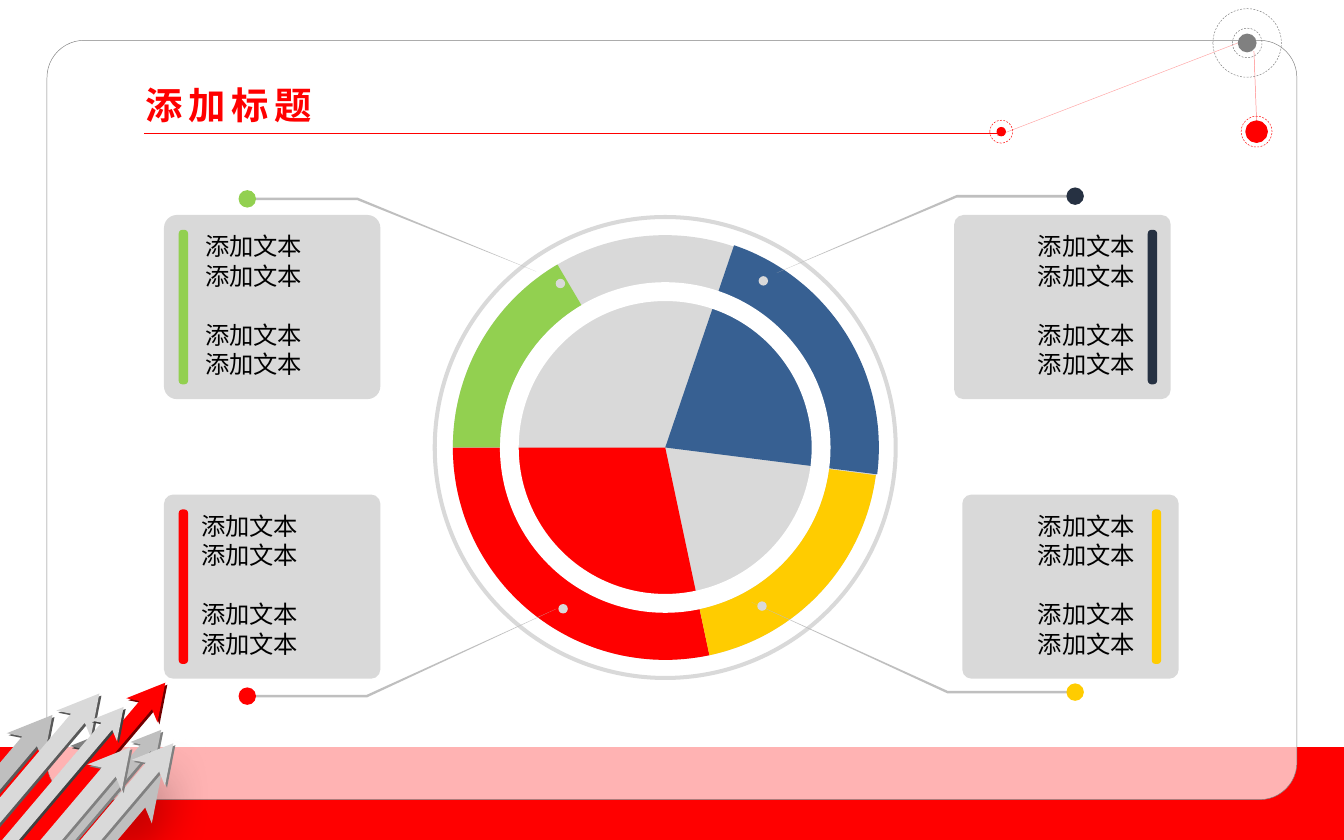
import math

import lxml.etree
import pptx
import pptx.dml.color
import pptx.enum.dml
import pptx.enum.shapes
import pptx.enum.text
import pptx.oxml.ns
import pptx.shapes.connector
import pptx.util

Inches, Pt = pptx.util.Inches, pptx.util.Pt
qn = pptx.oxml.ns.qn
SHAPE = pptx.enum.shapes.MSO_SHAPE
ALIGN = pptx.enum.text.PP_ALIGN
FONT = "Noto Sans CJK SC"
RED, BLUE, NAVY, GREEN, YELLOW = "FF0000", "376092", "263142", "92D050", "FFCC00"
PALE, SILVER, GREY, DARK, BLACK = "D9D9D9", "BFBFBF", "808080", "404040", "000000"
SLATE, MAROON, WHITE = "595959", "700000", "FFFFFF"

prs = pptx.Presentation()
prs.slide_width, prs.slide_height = Inches(10), Inches(6.25)
slide = prs.slides.add_slide(prs.slide_layouts[5])
shapes = slide.shapes


def paint(target, fill=None, line=None, width=0.25, dashed=False, opacity=100):
    """Colour a shape, connector or run; opacity applies to its first colour."""
    color = pptx.dml.color.RGBColor.from_string
    if hasattr(target, "font"):
        target.font.color.rgb = color(fill)
        return
    if not isinstance(target, pptx.shapes.connector.Connector):
        if fill:
            target.fill.solid()
            target.fill.fore_color.rgb = color(fill)
        else:
            target.fill.background()
    if line:
        target.line.color.rgb = color(line)
        target.line.width = Pt(width)
        if dashed:
            target.line.dash_style = pptx.enum.dml.MSO_LINE.DASH
    else:
        target.line.fill.background()
    properties = target._element.spPr
    if opacity < 100:
        first = properties.find(".//" + qn("a:srgbClr"))
        lxml.etree.SubElement(first, qn("a:alpha"), val=str(opacity * 1000))
    lxml.etree.SubElement(properties, qn("a:effectLst"))


def polygon(points, fill):
    corners = [(Inches(x), Inches(y)) for x, y in points]
    builder = shapes.build_freeform(*corners[0], scale=1.0)
    builder.add_line_segments(corners[1:], close=True)
    outline = builder.convert_to_shape()
    paint(outline, fill)
    return outline


# Red floor and translucent panel
floor = shapes.add_shape(SHAPE.RECTANGLE, 0, Inches(5.56), Inches(10), Inches(0.69))
paint(floor, RED)
panel = shapes.add_shape(SHAPE.ROUNDED_RECTANGLE, Inches(0.35), Inches(0.3), Inches(9.3), Inches(5.65))
panel.adjustments[0] = 0.049
paint(panel, WHITE, GREY, opacity=70)

# Rising arrows, back to front: colour, edge colour, tip, head size
HEAD = [(-0.66, 0.47), (-1, 0.4), (0, 0), (-0.2, 1.02), (-0.34, 0.68)]
SLOPE, EDGE = 1.18, 0.015
for color, edge_color, tip_x, tip_y, size in [
    (SILVER, SLATE, 0.39, 5.32, 0.34),
    (GREY, DARK, 0.75, 5.46, 0.23),
    (SILVER, None, 1.2, 5.77, 0.35),
    (PALE, SLATE, 0.74, 5.16, 0.32),
    (SILVER, GREY, 1.2, 5.43, 0.23),
    (RED, MAROON, 1.23, 5.08, 0.29),
    (PALE, GREY, 1.29, 5.53, 0.31),
    (PALE, GREY, 0.97, 5.56, 0.32),
    (PALE, DARK, 0.92, 5.26, 0.25),
]:
    for layer, shift in [(edge_color, EDGE), (color, 0)]:
        if layer is None:
            continue
        head = [(tip_x + shift + size * x, tip_y + shift + size * y) for x, y in HEAD]
        feet = []
        for x, y in (head[-1], head[0]):
            run_out = min(x, (6.25 - y) / SLOPE)
            feet.append((x - run_out, y + SLOPE * run_out))
        corner = (feet[1][0], feet[0][1])
        arrow = polygon(head + [feet[0], corner, feet[1]], layer)
    if edge_color is None:
        effects = arrow._element.spPr.find(qn("a:effectLst"))
        shade = lxml.etree.SubElement(effects, qn("a:outerShdw"), blurRad=str(Pt(30)), dist=str(Pt(3)), dir="5400000")
        tint = lxml.etree.SubElement(shade, qn("a:srgbClr"), val=BLACK)
        lxml.etree.SubElement(tint, qn("a:alpha"), val="66000")

# Title rule and constellation links: start, end, opacity
for x1, y1, x2, y2, opacity in [
    (1.07, 0.99, 7.46, 0.99, 100),
    (9.35, 0.91, 9.33, 0.38, 50),
    (7.42, 1.01, 9.21, 0.32, 35),
]:
    link = shapes.add_connector(
        pptx.enum.shapes.MSO_CONNECTOR.STRAIGHT, Inches(x1), Inches(y1), Inches(x2), Inches(y2))
    paint(link, line=RED, opacity=opacity)

# Constellation nodes: centre, colour, core diameter, core line, dashed orbits
for x, y, color, core, core_line, orbits in [
    (9.35, 0.98, RED, 0.14, 2, [0.23]),
    (9.28, 0.32, GREY, 0.14, 0, [0.22, 0.51]),
    (7.45, 0.98, RED, 0.07, 0, [0.17]),
]:
    for size in [core] + orbits:
        node = shapes.add_shape(
            SHAPE.OVAL, Inches(x - size / 2), Inches(y - size / 2), Inches(size), Inches(size))
        if size == core:
            paint(node, color, color if core_line else None, core_line)
        else:
            paint(node, line=color, dashed=True)

# Title, brought in front of the panel
title = shapes.title
shapes._spTree.append(title._element)
title.left, title.top, title.width, title.height = Inches(0.98), Inches(0.55), Inches(1.66), Inches(0.44)
title.text_frame.vertical_anchor = pptx.enum.text.MSO_ANCHOR.TOP
title.text_frame.auto_size = pptx.enum.text.MSO_AUTO_SIZE.NONE
heading = title.text_frame.paragraphs[0]
heading.alignment, heading.line_spacing = ALIGN.LEFT, Pt(25)
run = heading.add_run()
run.text = "添加标题"
run.font.size, run.font.bold, run.font.name = Pt(20), True, FONT
paint(run, RED)
run.font._element.set("spc", "300")
lxml.etree.SubElement(run.font._element, qn("a:ea"), typeface=FONT)

# Wheel, back to front: colour, radius, thickness or colour, angles, radii
CENTER_X, CENTER_Y = 4.95, 3.33
for color, *size in [
    (PALE, 1.58, 0),
    (BLUE, -71.2, 7.2, 0, 1.59),
    (RED, 78, 180, 0, 1.58),
    (WHITE, 1.23, 0.14),
    (PALE, 1.73, 0.03),
    (GREEN, 180, 239.5, 1.23, 1.58),
    (YELLOW, 7.5, 78, 1.23, 1.58),
]:
    if len(size) == 2:
        radius, thickness = size
        disc = shapes.add_shape(
            SHAPE.DONUT if thickness else SHAPE.OVAL, Inches(CENTER_X - radius),
            Inches(CENTER_Y - radius), Inches(2 * radius), Inches(2 * radius))
        if thickness:
            disc.adjustments[0] = thickness / (2 * radius)
        paint(disc, color)
    else:
        start, end, inner, outer = size
        angles = [math.radians(start + (end - start) * step / 60) for step in range(61)]
        rim = [(outer, a) for a in angles]
        hub = [(inner, a) for a in reversed(angles)] if inner else [(0, 0)]
        polygon([(CENTER_X + r * math.cos(a), CENTER_Y + r * math.sin(a)) for r, a in rim + hub], color)

# Tapered leaders: colour, tip, elbow, end dot centre, wheel dot centre
for color, tip_x, tip_y, elbow, end_x, end_y, wheel_x, wheel_y in [
    (GREEN, 3.99, 2.02, 2.66, 1.84, 1.48, 4.17, 2.11),
    (NAVY, 5.78, 2.03, 7.12, 8, 1.46, 5.68, 2.09),
    (YELLOW, 5.59, 4.48, 7.05, 8, 5.15, 5.67, 4.51),
    (RED, 4.14, 4.53, 2.73, 1.84, 5.18, 4.19, 4.53),
]:
    upper, lower = end_y - 0.01, end_y + 0.01
    polygon([(tip_x, tip_y), (elbow, upper), (end_x, upper), (end_x, lower), (elbow, lower)], SILVER)
    for x, y, size, dot_color in [(end_x, end_y, 0.13, color), (wheel_x, wheel_y, 0.07, PALE)]:
        dot = shapes.add_shape(
            SHAPE.OVAL, Inches(x - size / 2), Inches(y - size / 2), Inches(size), Inches(size))
        paint(dot, dot_color)

# Cards: bar colour, top, card left, corner, bar left, text left, alignment
for color, top, card_left, corner, bar_left, text_left, align in [
    (GREEN, 1.6, 1.22, 0.07, 1.33, 1.43, ALIGN.LEFT),
    (NAVY, 1.6, 7.1, 0.05, 8.54, 7.32, ALIGN.RIGHT),
    (YELLOW, 3.68, 7.16, 0.05, 8.57, 7.32, ALIGN.RIGHT),
    (RED, 3.68, 1.22, 0.05, 1.33, 1.4, ALIGN.LEFT),
]:
    for left, drop, width, height, rounding, fill in [
        (card_left, 0, 1.61, 1.37, corner, PALE),
        (bar_left, 0.11, 0.07, 1.15, 0.4, color),
    ]:
        block = shapes.add_shape(
            SHAPE.ROUNDED_RECTANGLE, Inches(left), Inches(top + drop), Inches(width), Inches(height))
        block.adjustments[0] = rounding
        paint(block, fill)
    caption = shapes.add_textbox(Inches(text_left), Inches(top + 0.07), Inches(1.22), Inches(1.23)).text_frame
    caption.word_wrap = True
    for row in range(4):
        paragraph = caption.add_paragraph() if row else caption.paragraphs[0]
        paragraph.alignment, paragraph.line_spacing = align, Pt(15.8)
        if row == 2:
            paragraph.space_before = Pt(15.8)
        run = paragraph.add_run()
        run.text = "添加文本"
        run.font.size, run.font.name = Pt(13), FONT
        paint(run, BLACK)
        lxml.etree.SubElement(run.font._element, qn("a:ea"), typeface=FONT)

prs.save("out.pptx")
